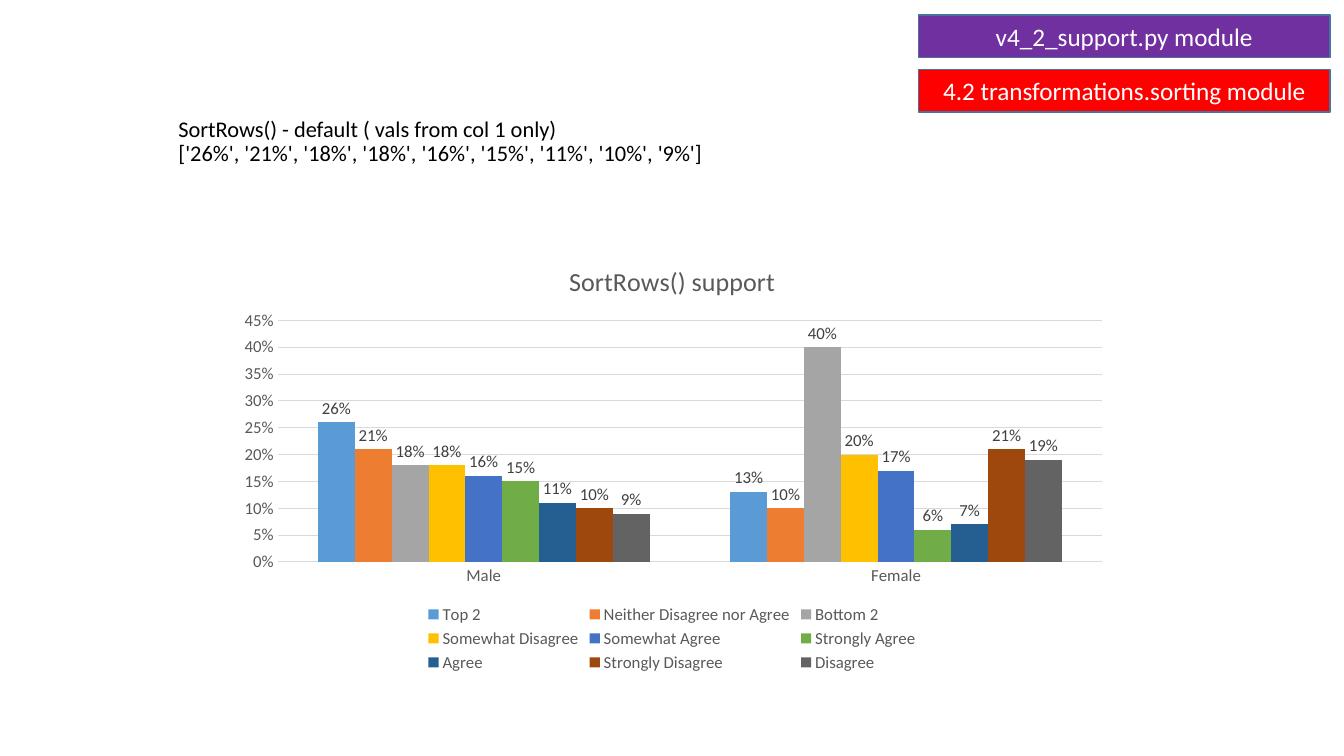
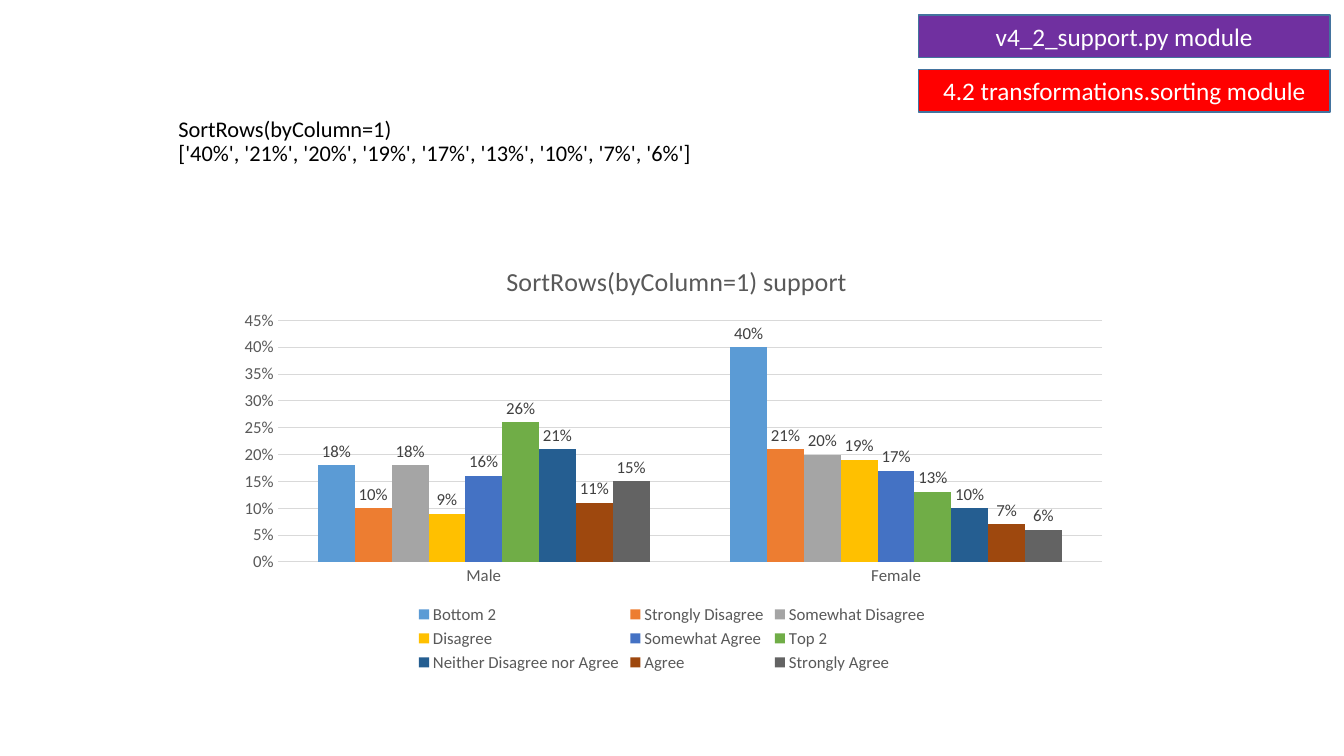
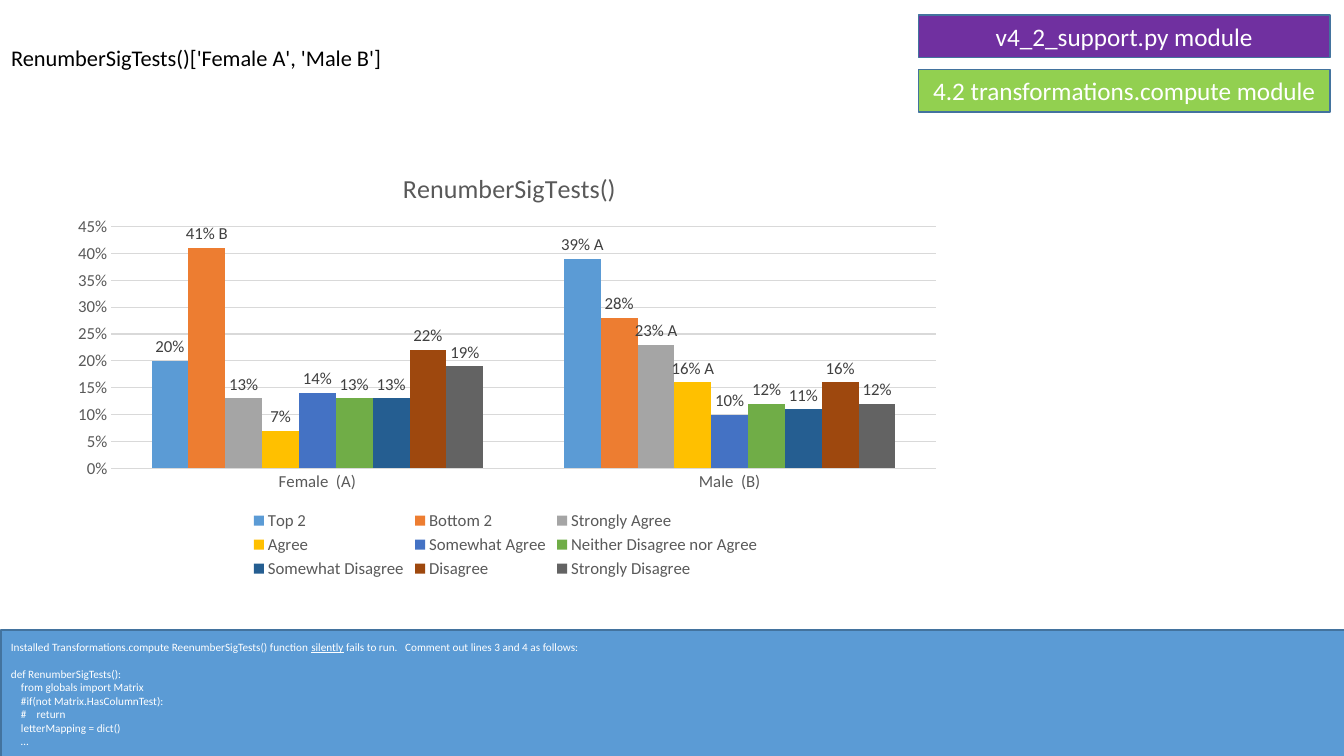
from lxml import etree
from pptx import Presentation
from pptx import util as u
from pptx.chart.data import CategoryChartData
from pptx.dml.color import RGBColor
from pptx.enum import chart as charts, shapes, text
from pptx.oxml.ns import qn

Inches, Pt = u.Inches, u.Pt

# Shared colours and fonts
PURPLE = RGBColor(0x70, 0x30, 0xA0)
RED = RGBColor(0xFF, 0x00, 0x00)
GREEN = RGBColor(0x92, 0xD0, 0x50)
BLUE = RGBColor(0x5B, 0x9B, 0xD5)
EDGE = RGBColor(0x43, 0x73, 0x9E)
WHITE = RGBColor(0xFF, 0xFF, 0xFF)
BLACK = RGBColor(0x00, 0x00, 0x00)
GRID = RGBColor(0xD9, 0xD9, 0xD9)
AXIS_TEXT = RGBColor(0x59, 0x59, 0x59)
LABEL_TEXT = RGBColor(0x40, 0x40, 0x40)
SERIES_COLORS = [RGBColor.from_string(code) for code in (
    "5B9BD5", "ED7D31", "A5A5A5", "FFC000", "4472C4",
    "70AD47", "255E91", "9E480E", "636363")]

FONT = "Calibri"
TITLE_STYLE = {"name": FONT, "size": Pt(16), "bold": False}
BAND_STYLE = {"name": FONT, "size": Pt(18)}
CODE_STYLE = {"name": FONT, "size": Pt(8)}
CHART_TITLE_STYLE = {"name": FONT, "size": Pt(18.6), "bold": False}
CHART_STYLE = {"name": FONT, "size": Pt(12), "bold": False}

# Shared boxes: left, top, width, height in inches
SUPPORT_BOX = (9.11, 0.15, 4.08, 0.42)
MODULE_BOX = (9.11, 0.69, 4.08, 0.42)
CODE_BOX = (0.01, 6.25, 13.33, 1.27)
TITLE_SIZE = (10, 0.76)
CHART_SIZE = (8.89, 4.36)
SORT_TITLE_AT, SORT_CHART_AT = (1.67, 0.94), (2.22, 2.35)
TEST_TITLE_AT, TEST_CHART_AT = (0.01, 0), (0.57, 1.42)

# Answers with their values by column
SUPPORT = [
    ("Top 2", (0.26, 0.13)),
    ("Neither Disagree nor Agree", (0.21, 0.10)),
    ("Bottom 2", (0.18, 0.40)),
    ("Somewhat Disagree", (0.18, 0.20)),
    ("Somewhat Agree", (0.16, 0.17)),
    ("Strongly Agree", (0.15, 0.06)),
    ("Agree", (0.11, 0.07)),
    ("Strongly Disagree", (0.10, 0.21)),
    ("Disagree", (0.09, 0.19)),
]
SIG_TESTS = [
    ("Top 2", (0.20, 0.39)),
    ("Bottom 2", (0.41, 0.28)),
    ("Strongly Agree", (0.13, 0.23)),
    ("Agree", (0.07, 0.16)),
    ("Somewhat Agree", (0.14, 0.10)),
    ("Neither Disagree nor Agree", (0.13, 0.12)),
    ("Somewhat Disagree", (0.13, 0.11)),
    ("Disagree", (0.22, 0.16)),
    ("Strongly Disagree", (0.19, 0.12)),
]
# (answer, column) to the label with its significance letter
SIG_LABELS = {("Top 2", 1): "39% A", ("Bottom 2", 0): "41% B",
              ("Strongly Agree", 1): "23% A", ("Agree", 1): "16% A"}
WARNING = [("Installed Transformations.compute ReenumberSigTests() function ", False),
           ("silently", True),
           (" fails to run.   Comment out lines 3 and 4 as follows:", False)]
CODE_BODY = ["from globals import Matrix", "#if(not Matrix.HasColumnTest):",
             "#    return", "letterMapping = dict()", "…"]


def style(font, values, color):
    for name, value in values.items():
        setattr(font, name, value)
    font.color.rgb = color


def add_title(page, at, wording):
    """Format the title placeholder; a newline is a line break."""
    title = page.shapes.title
    box = (*at, *TITLE_SIZE)
    for name, value in zip(("left", "top", "width", "height"), box):
        setattr(title, name, Inches(value))
    frame = title.text_frame
    frame.auto_size = text.MSO_AUTO_SIZE.NONE
    frame.vertical_anchor = text.MSO_ANCHOR.BOTTOM
    para = frame.paragraphs[0]
    para.text = wording
    para.alignment = text.PP_ALIGN.LEFT
    para.line_spacing = 0.9
    for span in para.runs:
        style(span.font, TITLE_STYLE, BLACK)


def add_panel(page, box, color):
    panel = page.shapes.add_shape(shapes.MSO_SHAPE.RECTANGLE, *map(Inches, box))
    panel.shadow.inherit = False
    panel.fill.solid()
    panel.fill.fore_color.rgb = color
    panel.line.color.rgb = EDGE
    panel.line.width = Pt(1)
    panel.text_frame.word_wrap = True
    panel.text_frame.vertical_anchor = text.MSO_ANCHOR.MIDDLE
    return panel


def add_band(page, box, wording, color):
    para = add_panel(page, box, color).text_frame.paragraphs[0]
    para.alignment = text.PP_ALIGN.CENTER
    span = para.add_run()
    span.text = wording
    style(span.font, BAND_STYLE, WHITE)


def add_code_panel(page, box):
    """Warning line, then the function with an indented body."""
    frame = add_panel(page, box, BLUE).text_frame
    lines = [WARNING, [("def RenumberSigTests():", False)]]
    lines += [[(line, False)] for line in CODE_BODY]
    for index, line in enumerate(lines):
        para = frame.add_paragraph() if index else frame.paragraphs[0]
        para.alignment = text.PP_ALIGN.LEFT
        if index == 1:
            para.space_before = Pt(9.6)
        if index > 1:
            para._p.get_or_add_pPr().set("marL", str(Inches(0.1)))
        for wording, underlined in line:
            span = para.add_run()
            span.text = wording
            style(span.font, CODE_STYLE, WHITE)
            if underlined:
                span.font.underline = True


def set_layout(part, position, **fractions):
    """Place a chart part at fractions of the chart's size."""
    for old in part.findall(qn("c:layout")):
        part.remove(old)
    layout = etree.Element(qn("c:layout"))
    manual = etree.SubElement(layout, qn("c:manualLayout"))
    if "w" in fractions:
        etree.SubElement(manual, qn("c:layoutTarget")).set("val", "inner")
    for axis in "xy":
        etree.SubElement(manual, qn(f"c:{axis}Mode")).set("val", "edge")
    for name, value in fractions.items():
        etree.SubElement(manual, qn(f"c:{name}")).set("val", str(value))
    part.insert(position, layout)


def format_axes(chart):
    for axis in (chart.category_axis, chart.value_axis):
        axis.major_tick_mark = axis.minor_tick_mark = charts.XL_TICK_MARK.NONE
        style(axis.tick_labels.font, CHART_STYLE, AXIS_TEXT)
    values = chart.value_axis
    values.minimum_scale, values.maximum_scale, values.major_unit = 0, 0.45, 0.05
    values.tick_labels.number_format = "0%"
    values.tick_labels.number_format_is_linked = False
    values.has_major_gridlines = True
    values.format.line.fill.background()
    for line in (chart.category_axis.format.line, values.major_gridlines.format.line):
        line.color.rgb = GRID
        line.width = Pt(0.75)


def format_series(series, color, point_labels):
    series.format.fill.solid()
    series.format.fill.fore_color.rgb = color
    series.invert_if_negative = False
    labels = series.data_labels
    for name, value in {"show_value": True, "number_format": "0%",
                        "number_format_is_linked": False,
                        "position": charts.XL_LABEL_POSITION.OUTSIDE_END}.items():
        setattr(labels, name, value)
    style(labels.font, CHART_STYLE, LABEL_TEXT)
    for (answer, column), wording in point_labels.items():
        if answer == series.name:
            label = series.points[column].data_label
            span = label.text_frame.paragraphs[0].add_run()
            span.text = wording
            style(span.font, CHART_STYLE, LABEL_TEXT)
            label.position = charts.XL_LABEL_POSITION.OUTSIDE_END


def add_answer_chart(page, at, heading, heading_left, columns, answers, point_labels):
    data = CategoryChartData(number_format="0%")
    data.categories = columns
    for answer, values in answers:
        data.add_series(answer, values)
    chart = page.shapes.add_chart(charts.XL_CHART_TYPE.COLUMN_CLUSTERED,
                                  *map(Inches, (*at, *CHART_SIZE)), data).chart
    style(chart.font, {"name": FONT, "size": Pt(10)}, BLACK)

    # Heading
    chart.has_title = True
    span = chart.chart_title.text_frame.paragraphs[0].add_run()
    span.text = heading
    style(span.font, CHART_TITLE_STYLE, AXIS_TEXT)
    set_layout(chart.chart_title._element.find(qn("c:title"))
               if chart.chart_title._element.tag != qn("c:title")
               else chart.chart_title._element, 1, x=heading_left, y=0.05)

    # Legend
    chart.has_legend = True
    chart.legend.position = charts.XL_LEGEND_POSITION.BOTTOM
    chart.legend.include_in_layout = False
    style(chart.legend.font, CHART_STYLE, AXIS_TEXT)

    # Plot
    format_axes(chart)
    plot = chart.plots[0]
    plot.gap_width, plot.overlap, plot.vary_by_categories = 219, 0, False
    for series, color in zip(plot.series, SERIES_COLORS):
        format_series(series, color, point_labels)
    plot_area = next(chart._chartSpace.iter(qn("c:plotArea")))
    set_layout(plot_area, 0, x=0.06, y=0.19, w=0.92, h=0.55)


def add_page(deck, title_at, wording):
    page = deck.slides.add_slide(deck.slide_layouts[5])
    add_band(page, SUPPORT_BOX, "v4_2_support.py module", PURPLE)
    add_title(page, title_at, wording)
    return page


def add_sort_page(deck, call, heading, heading_left, column):
    """Answers in falling order of one column."""
    answers = sorted(SUPPORT, key=lambda answer: -answer[1][column])
    shown = [f"{values[column]:.0%}" for _, values in answers]
    page = add_page(deck, SORT_TITLE_AT, f"{call}\n{shown}")
    add_answer_chart(page, SORT_CHART_AT, heading, heading_left,
                     ["Male", "Female"], answers, {})
    add_band(page, MODULE_BOX, "4.2 transformations.sorting module", RED)


def add_test_page(deck):
    page = add_page(deck, TEST_TITLE_AT, "RenumberSigTests()['Female A', 'Male B']")
    add_answer_chart(page, TEST_CHART_AT, "RenumberSigTests()", 0.38,
                     ["Female  (A)", "Male  (B)"], SIG_TESTS, SIG_LABELS)
    add_band(page, MODULE_BOX, "4.2 transformations.compute module", GREEN)
    add_code_panel(page, CODE_BOX)


def main():
    deck = Presentation()
    deck.slide_width, deck.slide_height = Inches(13.33), Inches(7.5)
    add_sort_page(deck, "SortRows() - default ( vals from col 1 only)",
                  "SortRows() support", 0.38, 0)
    add_sort_page(deck, "SortRows(byColumn=1)",
                  "SortRows(byColumn=1) support", 0.31, 1)
    add_test_page(deck)
    deck.save("out.pptx")


if __name__ == "__main__":
    main()
